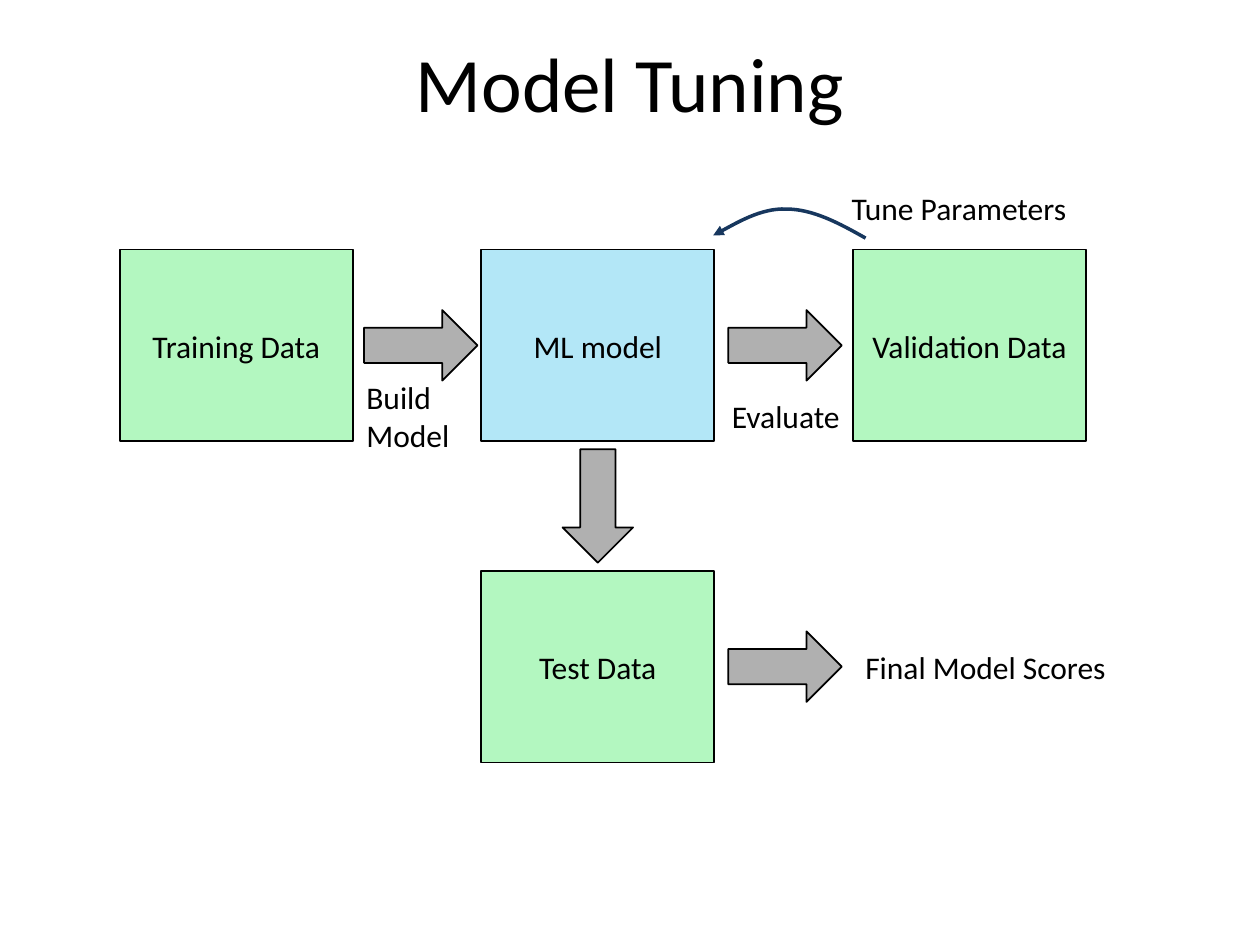
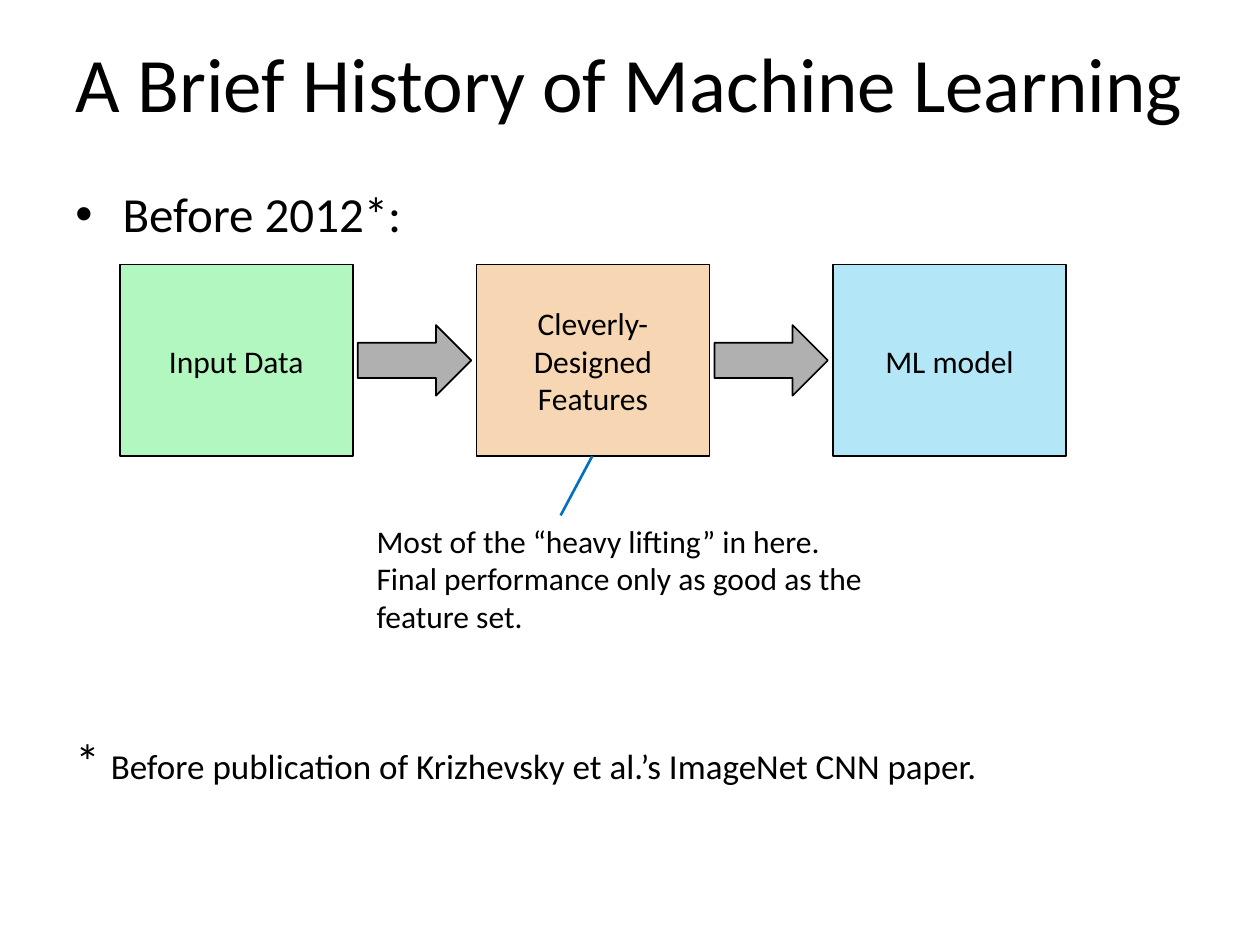
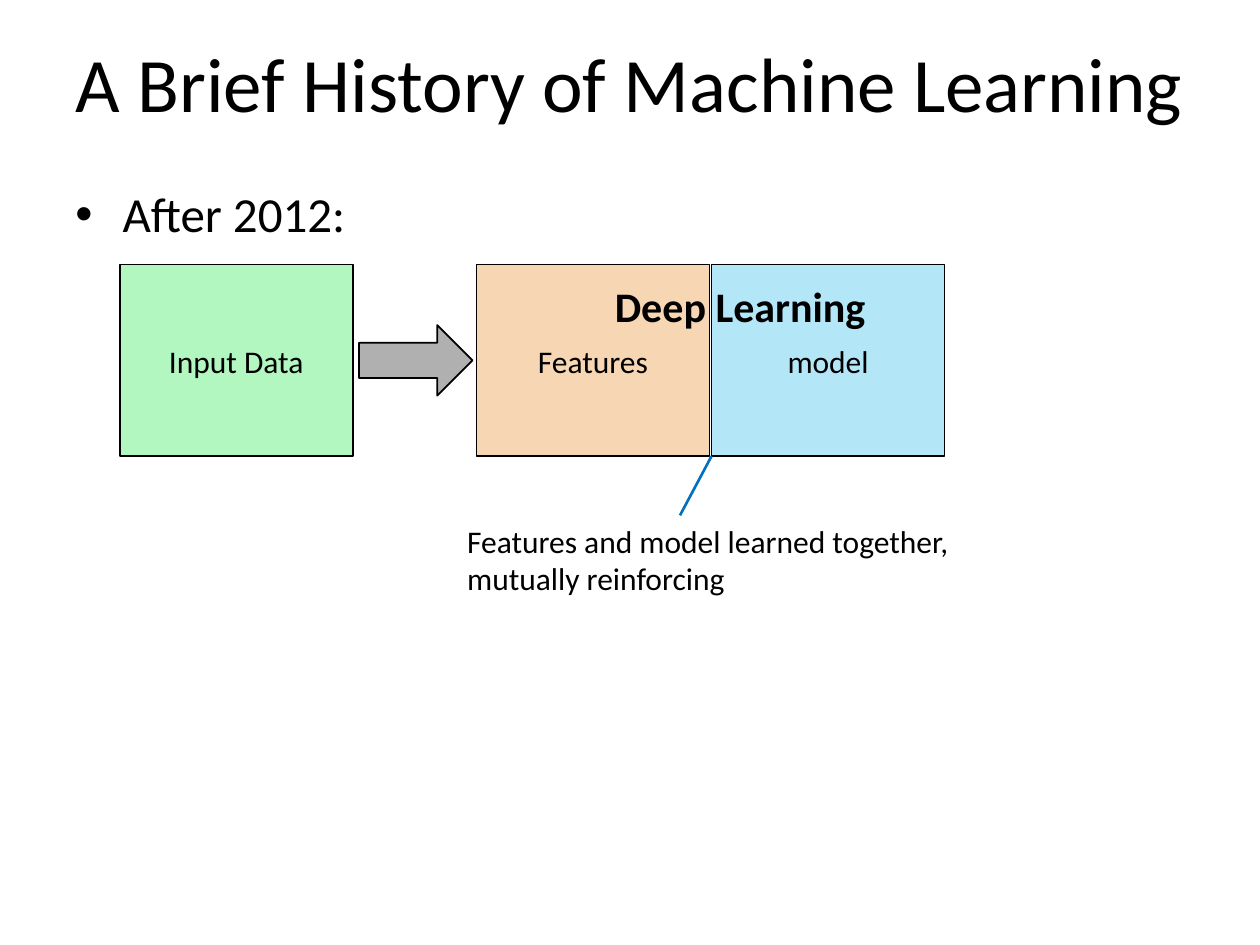
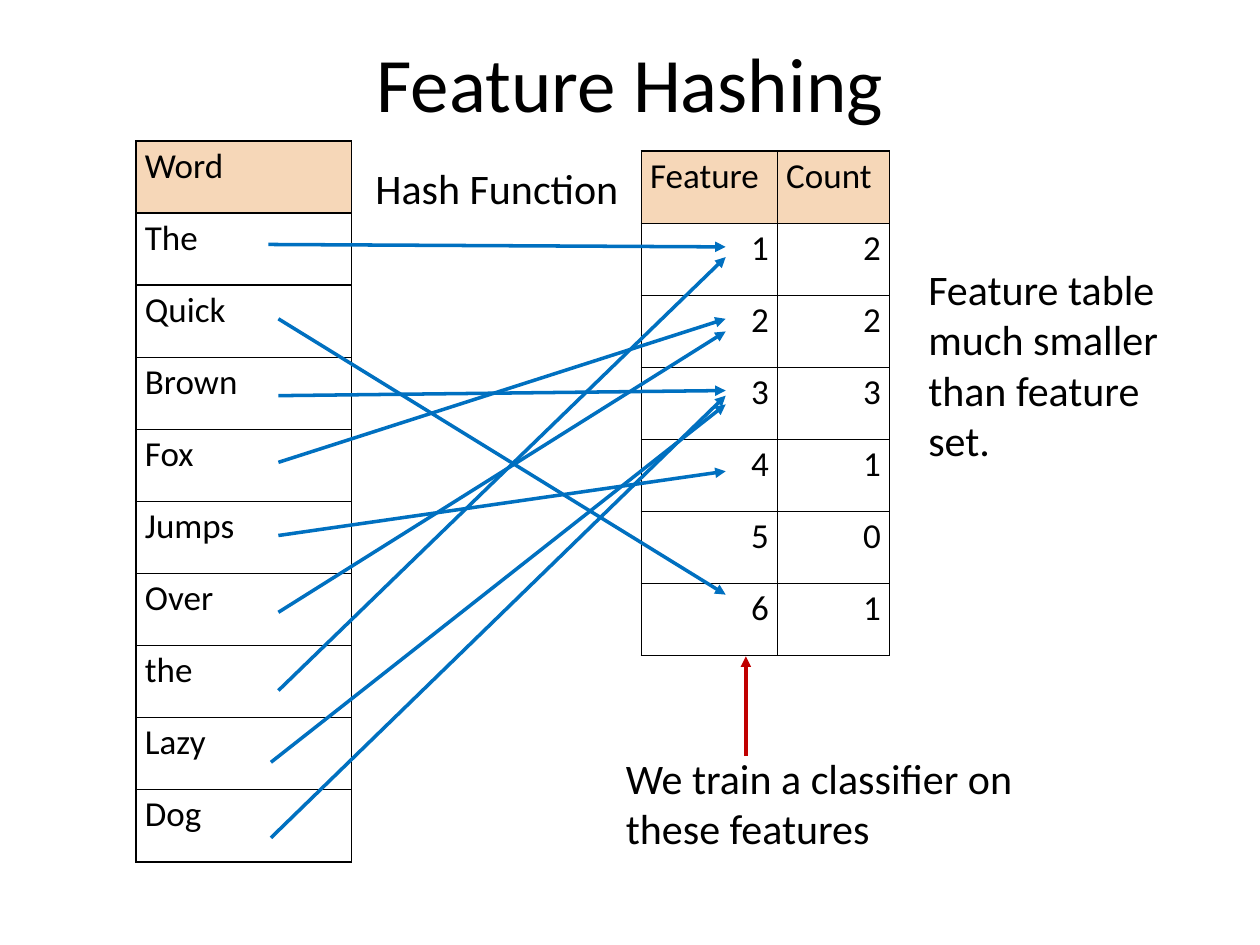
from lxml import etree
from pptx import Presentation
from pptx.dml.color import RGBColor
from pptx.enum.shapes import MSO_CONNECTOR, MSO_SHAPE
from pptx.enum.text import MSO_ANCHOR, MSO_AUTO_SIZE, PP_ALIGN
from pptx.oxml.ns import qn
from pptx.util import Pt

STRAIGHT = MSO_CONNECTOR.STRAIGHT
RECTANGLE, RIGHT_ARROW = MSO_SHAPE.RECTANGLE, MSO_SHAPE.RIGHT_ARROW
TOP, MIDDLE = MSO_ANCHOR.TOP, MSO_ANCHOR.MIDDLE
FIT_SHAPE = MSO_AUTO_SIZE.SHAPE_TO_FIT_TEXT
LEFT, CENTER, RIGHT, JUSTIFY = PP_ALIGN.LEFT, PP_ALIGN.CENTER, PP_ALIGN.RIGHT, PP_ALIGN.JUSTIFY

FONT = "Calibri"
BLACK, NAVY, BLUE, RED = "000000", "17375E", "0070C0", "C00000"
GREEN, SKY, ORANGE, GRAY, HEADER = "B3F7C0", "B3E7F7", "F7D7B3", "B0B0B0", "F6D7B8"

STAGE_W, STAGE_H = 133.2, 109.5
ARROW_W, ARROW_H = 64.8, 40.3
ROW_H = 41.2
TITLE_BOX = (36, 8.6, 648, 76.4)
BODY_BOX = (36, 101.5, 648, 385)

WORD_LINKS = [
    ("The", 153.4, 139.7, 141.1),
    ("Quick", 159.1, 182.2, 339.8),
    ("Brown", 159.1, 226.1, 223.2),
    ("Fox", 159.1, 264.2, 182.2),
    ("Jumps", 159.1, 306, 269.3),
    ("Over", 159.1, 349.9, 189.4),
    ("the", 159.1, 394.6, 146.9),
    ("Lazy", 154.8, 435.6, 231.1),
    ("Dog", 154.8, 478.8, 226.1),
]
COUNTS = [2, 2, 3, 1, 0, 1]


def rgb(value):
    """Turn a hex string into a colour."""
    return RGBColor.from_string(value)


def points(*lengths):
    """Convert numbers to point lengths."""
    return [Pt(length) for length in lengths]


def style(paragraph, size, align=LEFT, bold=False):
    """Format a paragraph and its runs."""
    paragraph.alignment = align
    for run in paragraph.runs:
        run.font.name = FONT
        run.font.size = Pt(size)
        run.font.bold = bold
        run.font.color.rgb = rgb(BLACK)


def write(frame, paragraphs, size, align=LEFT, bold=False):
    """Fill a text frame, one string for each paragraph."""
    for index, text in enumerate(paragraphs):
        paragraph = frame.add_paragraph() if index else frame.paragraphs[0]
        paragraph.text = text
        style(paragraph, size, align, bold)


def text_area(slide, box, paragraphs, size, align=LEFT, anchor=TOP):
    """Add wrapped text in a fixed box."""
    frame = slide.shapes.add_textbox(*points(*box)).text_frame
    frame.word_wrap = True
    frame.vertical_anchor = anchor
    write(frame, paragraphs, size, align)
    return frame


def label(slide, box, *paragraphs, size=18, bold=False):
    """Add a free label that keeps its own line breaks."""
    frame = slide.shapes.add_textbox(*points(*box)).text_frame
    frame.word_wrap = False
    frame.auto_size = FIT_SHAPE
    write(frame, paragraphs, size, bold=bold)


def block(slide, kind, box, color):
    """Add a filled shape with a thin black outline."""
    shape = slide.shapes.add_shape(kind, *points(*box))
    shape.shadow.inherit = False
    shape.fill.solid()
    shape.fill.fore_color.rgb = rgb(color)
    shape.line.color.rgb = rgb(BLACK)
    shape.line.width = Pt(1)
    return shape


def stage(slide, left, top, text, color):
    """Add one captioned stage of a pipeline."""
    frame = block(slide, RECTANGLE, (left, top, STAGE_W, STAGE_H), color).text_frame
    frame.word_wrap = True
    frame.vertical_anchor = MIDDLE
    write(frame, [text], 18, CENTER)


def flow(slide, center_x, center_y, rotation=0):
    """Add a block arrow around a centre point."""
    box = (center_x - ARROW_W / 2, center_y - ARROW_H / 2, ARROW_W, ARROW_H)
    block(slide, RIGHT_ARROW, box, GRAY).rotation = rotation


def stroke(shape, color, width, arrow):
    """Colour a line and give it an arrowhead if asked."""
    shape.line.color.rgb = rgb(color)
    shape.line.width = Pt(width)
    if arrow:
        outline = shape.element.spPr.find(qn("a:ln"))
        etree.SubElement(outline, qn("a:tailEnd"), type="triangle")


def link(slide, start, end, color=BLUE, width=2, arrow=True):
    """Draw a straight connector."""
    connector = slide.shapes.add_connector(STRAIGHT, *points(*start, *end))
    stroke(connector, color, width, arrow)
    etree.SubElement(connector.element.spPr, qn("a:effectLst"))


def curve(slide, start, controls):
    """Draw an arrow along cubic segments, three points each."""
    builder = slide.shapes.build_freeform(*points(*start), scale=1.0)
    builder.add_line_segments([points(*point) for point in controls], close=False)
    shape = builder.convert_to_shape()
    shape.shadow.inherit = False
    shape.fill.background()
    stroke(shape, NAVY, 2, True)
    outline = next(shape.element.iter(qn("a:path")))
    for index, segment in enumerate(outline.findall(qn("a:lnTo"))):
        if index % 3 == 0:
            cubic = etree.SubElement(outline, qn("a:cubicBezTo"))
        cubic.append(segment[0])
        outline.remove(segment)


def border(cell):
    """Give a cell thin black edges."""
    properties = cell._tc.get_or_add_tcPr()
    for side in ("lnL", "lnR", "lnT", "lnB"):
        edge = etree.SubElement(properties, qn(f"a:{side}"), w=str(Pt(1)))
        fill = etree.SubElement(edge, qn("a:solidFill"))
        etree.SubElement(fill, qn("a:srgbClr"), val=BLACK)


def grid(slide, left, top, widths, rows, align):
    """Add a table whose first row is a coloured header."""
    size = points(left, top, sum(widths), ROW_H * len(rows))
    table = slide.shapes.add_table(len(rows), len(widths), *size).table
    table.first_row = table.horz_banding = False
    for column, width in zip(table.columns, widths):
        column.width = Pt(width)
    for index, values in enumerate(rows):
        table.rows[index].height = Pt(ROW_H)
        for cell, value in zip(table.rows[index].cells, values):
            border(cell)
            cell.margin_left = cell.margin_right = Pt(5)
            cell.margin_top = cell.margin_bottom = Pt(2.2)
            if index:
                cell.fill.background()
            else:
                cell.fill.solid()
                cell.fill.fore_color.rgb = rgb(HEADER)
            write(cell.text_frame, [str(value)], 20, align if index else JUSTIFY)
            cell.text_frame.paragraphs[0].space_before = Pt(6)


def titled_slide(deck, title):
    """Add a blank slide with the shared title."""
    slide = deck.slides.add_slide(deck.slide_layouts[6])
    text_area(slide, TITLE_BOX, [title], 44, CENTER, MIDDLE)
    return slide


def history_slide(deck, *paragraphs):
    """Add a history slide with its bulleted period."""
    slide = titled_slide(deck, "A Brief History of Machine Learning")
    frame = text_area(slide, BODY_BOX, paragraphs, 28)
    properties = frame.paragraphs[0]._p.get_or_add_pPr()
    properties.set("marL", str(Pt(27)))
    properties.set("indent", str(-Pt(27)))
    etree.SubElement(properties, qn("a:buFont"), typeface="Arial")
    etree.SubElement(properties, qn("a:buChar"), char="•")
    return slide, frame


def tuning_diagram(slide, left, top):
    """Place the train, validate and test stages."""
    model, validation, test_top = left + 206.6, left + 419, top + 183.6
    middle, test_middle = top + STAGE_H / 2, test_top + STAGE_H / 2
    stage(slide, left, top, "Training Data", GREEN)
    stage(slide, model, top, "ML model", SKY)
    stage(slide, validation, top, "Validation Data", GREEN)
    stage(slide, model, test_top, "Test Data", GREEN)
    flow(slide, left + 172.1, middle)
    flow(slide, left + 380.2, middle)
    flow(slide, left + 380.2, test_middle)
    flow(slide, model + STAGE_W / 2, (top + STAGE_H + test_top) / 2, 90)
    bend = [(411, -15.1), (396, -23.1), (380.9, -23.1),
            (366.5, -23.8), (339.1, -8), (339.1, -8)]
    curve(slide, (left + 426.2, top - 6.5), [(left + x, top + y) for x, y in bend])
    label(slide, (left + 411.1, top - 38.2, 142.6, 29), "Tune Parameters")
    label(slide, (left + 342.7, top + 80.6, 77, 29), "Evaluate")
    label(slide, (left + 133.9, top + 69.8, 62.6, 51), "Build\nModel")
    label(slide, (validation, test_middle - 14.5, 153.4, 29), "Final Model Scores")


def before_diagram(slide, left, top):
    """Place three separate stages and their remark."""
    step = 203.8
    stages = [("Input Data", GREEN), ("Cleverly-Designed\nFeatures", ORANGE), ("ML model", SKY)]
    for index, (text, color) in enumerate(stages):
        stage(slide, left + index * step, top, text, color)
        if index:
            flow(slide, left + index * step - (step - STAGE_W) / 2, top + STAGE_H / 2)
    label(slide, (left + 139.7, top + 143.3, 294.5, 72.7),
          "Most of the “heavy lifting” in here.",
          "Final performance only as good as the\nfeature set.")
    link(slide, (left + 270, top + STAGE_H), (left + 252, top + 143.3), width=1.5, arrow=False)


def after_diagram(slide, left, top):
    """Place the input and the joined learning stages."""
    features = left + 203.8
    model = features + 134.4
    stage(slide, features, top, "Features", ORANGE)
    stage(slide, left, top, "Input Data", GREEN)
    stage(slide, model, top, "model", SKY)
    flow(slide, left + 169.2, top + STAGE_H / 2)
    label(slide, (left + 275.8, top + 5.8, 159.1, 36), "Deep Learning", size=24, bold=True)
    label(slide, (left + 191.5, top + 143.3, 293, 51),
          "Features and model learned together,\nmutually reinforcing")
    link(slide, (model, top + STAGE_H), (model - 18, top + 143.3), width=1.5, arrow=False)


def hashing_diagram(slide, left, top):
    """Place the word and feature tables with their links."""
    features = left + 288.7
    words = [("Word",)] + [(word,) for word, *_ in WORD_LINKS]
    grid(slide, left, top, [123.1], words, JUSTIFY)
    counts = [("Feature", "Count"), *enumerate(COUNTS, 1)]
    grid(slide, features, top + 5.8, [77.8, 64.1], counts, RIGHT)
    for _, start_x, start_y, end_y in WORD_LINKS:
        link(slide, (left + start_x - 77.8, top + start_y - 80.6),
             (left + 336.9, top + end_y - 80.6))
    label(slide, (left + 129.6, top + 8.7, 154.8, 36), "Hash Function", size=24)
    label(slide, (left + 445.6, top + 66.3, 146.9, 123.8),
          "Feature table\nmuch smaller\nthan feature\nset.", size=24)
    label(slide, (left + 272.8, top + 345.6, 237.6, 65.5),
          "We train a classifier on\nthese features", size=24)
    link(slide, (left + 348.4, top + 351.4), (left + 348.4, top + 294.5), RED)


def main():
    """Build the four slides and save them."""
    deck = Presentation()
    deck.slide_width, deck.slide_height = points(720, 540)

    tuning_diagram(titled_slide(deck, "Model Tuning"), 68.4, 142.6)

    footnote = "Before publication of Krizhevsky et al.’s ImageNet CNN paper."
    before, frame = history_slide(deck, "Before 2012*:", "* ")
    note = frame.paragraphs[1]
    note.space_before = Pt(279)
    note.add_run().text = footnote
    style(note, 28)
    note.runs[1].font.size = Pt(20)
    before_diagram(before, 68.4, 151.2)

    after, _ = history_slide(deck, "After 2012:")
    after_diagram(after, 68.4, 151.2)

    hashing_diagram(titled_slide(deck, "Feature Hashing"), 77.8, 80.6)
    deck.save("out.pptx")


if __name__ == "__main__":
    main()
